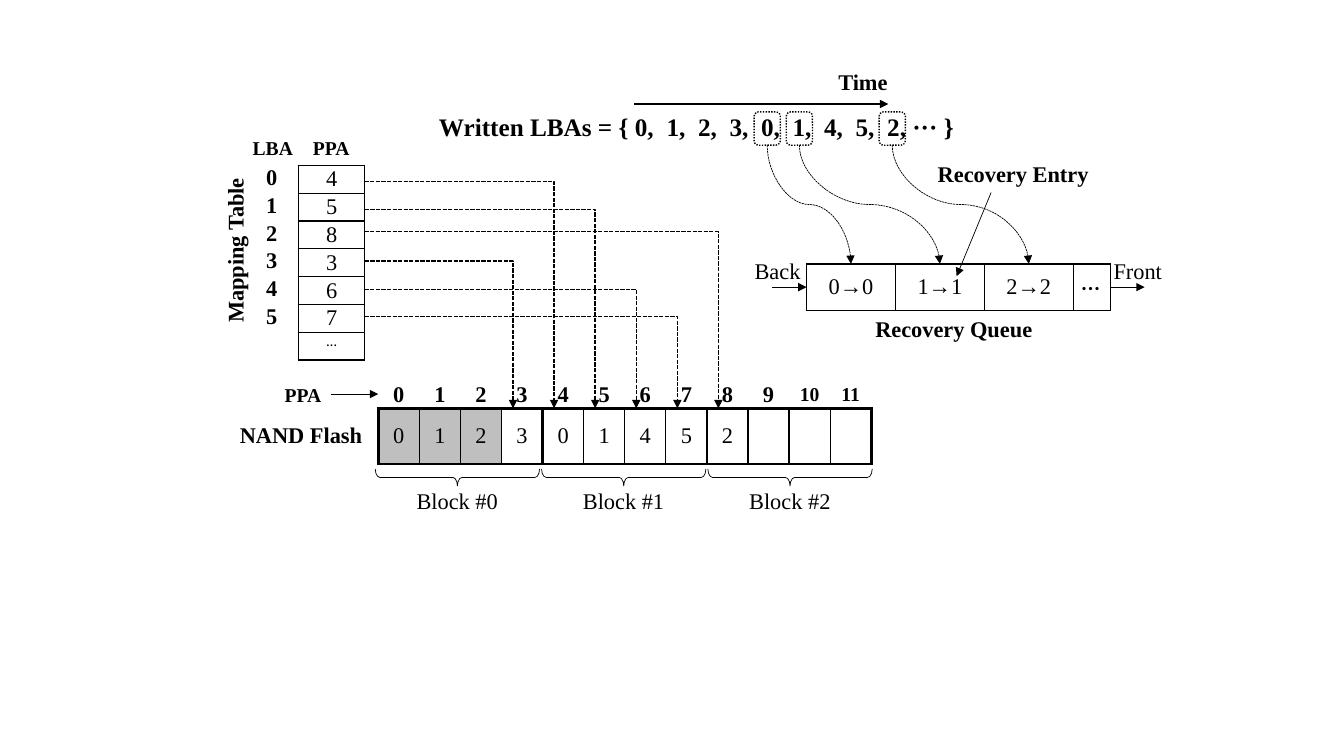
from lxml.etree import SubElement
from pptx import Presentation
from pptx.dml.color import RGBColor
from pptx.enum.dml import MSO_LINE as DASH
from pptx.enum.shapes import MSO_CONNECTOR as CONN, MSO_SHAPE as SHAPE
from pptx.enum.text import MSO_ANCHOR as ANCHOR, MSO_AUTO_SIZE as AUTO, PP_ALIGN as ALIGN
from pptx.oxml.ns import qn
from pptx.util import Cm, Pt

BLACK = RGBColor(0, 0, 0)
GRAY = RGBColor(0xBF, 0xBF, 0xBF)
SERIF = "Times New Roman"
NO_STYLE = "{2D5ABB26-0587-4C30-8999-92F81FD0307C}"
WRITES = (0, 1, 2, 3, 0, 1, 4, 5, 2)
PPAS = (4, 5, 8, 3, 6, 7)
DOTS = "\u0387\u0387\u0387"

FLASH = (9.53, 10.29, 12.42, 1.4)
MAPPING = (6.17, 4.17, 3.02, 4.9)
TIMELINE = (10.74, 2.67, 13.61, 1.02)
QUEUE = (20.32, 6.65, 7.66, 1.17)
MARKERS = (8.26, 9.07, 11.41)
MARKER_W, MARKER_H, MARKER_DY = 0.66, 0.84, 0.15
ENTRY_W = 2.24


def add_run(p, text, size, bold=False, font=SERIF):
    r = p.add_run()
    r.text = text
    r.font.name, r.font.size, r.font.bold = font, Pt(size), bold
    r.font.color.rgb = BLACK
    return r


def text_box(s, x, y, w, h):
    tb = s.shapes.add_textbox(Cm(x), Cm(y), Cm(w), Cm(h))
    tf = tb.text_frame
    tf.word_wrap, tf.auto_size = False, AUTO.SHAPE_TO_FIT_TEXT
    tf.paragraphs[0].alignment = ALIGN.CENTER
    return tb


def label(s, text, x, y, w, size=16, bold=True):
    tb = text_box(s, x, y, w, 0.94 if size == 16 else 0.86)
    add_run(tb.text_frame.paragraphs[0], text, size, bold)
    return tb


def stroke(shape, width, dash=None):
    shape.line.color.rgb, shape.line.width = BLACK, Pt(width)
    if dash:
        shape.line.dash_style = dash


def connect(s, x1, y1, x2, y2, width=0.5, kind=CONN.STRAIGHT, dash=None):
    c = s.shapes.add_connector(kind, Cm(x1), Cm(y1), Cm(x2), Cm(y2))
    stroke(c, width, dash)
    SubElement(c.line._get_or_add_ln(), qn("a:tailEnd"), type="triangle")
    SubElement(c.element.spPr, qn("a:effectLst"))
    return c


def elbow(s, x1, y1, x2, y2):
    c = connect(s, x1, y1, x2, y2, 1, CONN.ELBOW, DASH.SQUARE_DOT)
    c.line._get_or_add_ln().find(qn("a:prstDash")).set("val", "sysDash")
    av = c.element.spPr.find(qn("a:prstGeom")).find(qn("a:avLst"))
    SubElement(av, qn("a:gd"), name="adj1", fmla="val 100000")


def s_curve(s, x1, y1, x2, y2):
    dx, dy = x2 - x1, y2 - y1
    left, top = (x1 + x2 - dy) / 2, (y1 + y2 - dx) / 2
    c = connect(s, left, top, left + dy, top + dx, 0.5, CONN.CURVE, DASH.SQUARE_DOT)
    c.line._get_or_add_ln().find(qn("a:prstDash")).set("val", "sysDash")
    xfrm = c.element.spPr.find(qn("a:xfrm"))
    xfrm.set("rot", "16200000")
    xfrm.set("flipH", "1")


def grid(s, x, y, widths, heights):
    frame = s.shapes.add_table(len(heights), len(widths), Cm(x), Cm(y),
                               Cm(sum(widths)), Cm(sum(heights)))
    table = frame.table
    table.first_row = table.horz_banding = False
    table._tbl.tblPr.find(qn("a:tableStyleId")).text = NO_STYLE
    for col, w in zip(table.columns, widths):
        col.width = Cm(w)
    for row, h in zip(table.rows, heights):
        row.height = Cm(h)
    return table


def fill_cell(cell, text="", size=16, bold=False, border=0, fill=None,
              font=SERIF, anchor=ANCHOR.MIDDLE):
    cell.margin_left = cell.margin_right = cell.margin_top = cell.margin_bottom = 0
    cell.vertical_anchor = anchor
    p = cell.text_frame.paragraphs[0]
    p.alignment = ALIGN.CENTER
    if text:
        add_run(p, text, size, bold, font)
    else:
        SubElement(p._p, qn("a:endParaRPr"), sz=str(size * 100))
    if border:
        for side in ("L", "R", "T", "B"):
            ln = SubElement(cell._tc.get_or_add_tcPr(), qn("a:ln" + side), w=str(Pt(border)))
            SubElement(SubElement(ln, qn("a:solidFill")), qn("a:srgbClr"), val=str(BLACK))
    if fill:
        cell.fill.solid()
        cell.fill.fore_color.rgb = fill
    else:
        cell.fill.background()


def draw_flash(s, x, y, w, h):
    pages = [w / 12] * 12
    table = grid(s, x, y, pages, [h])
    index = grid(s, x, y - 0.82, pages, [0.94])
    for i in range(12):
        value = str(WRITES[i]) if i < len(WRITES) else ""
        fill_cell(table.cell(0, i), value, border=1, fill=GRAY if i < 3 else None)
        fill_cell(index.cell(0, i), str(i), 16 if i < 10 else 14, True)
    blocks = grid(s, x, y, [w / 3] * 3, [h])
    for i in range(3):
        fill_cell(blocks.cell(0, i), border=2.25)
        mid = x + 1.99 + 4.19 * i
        brace = s.shapes.add_shape(SHAPE.LEFT_BRACE, Cm(mid - 0.21), Cm(y + 1.74 - w / 6),
                                   Cm(0.43), Cm(w / 3))
        brace.rotation = 270
        brace.adjustments[0] = 0.27
        brace.shadow.inherit = False
        brace.fill.background()
        stroke(brace, 0.5)
        label(s, f"Block #{i}", mid - 1.3, y + 1.85, 2.6, bold=False)
    label(s, "NAND Flash", x - 3.76, y + 0.2, 3.63)
    label(s, "PPA", x - 2.62, y - 0.76, 1.45, 14)
    connect(s, x - 1.2, y - 0.36, x, y - 0.36)


def draw_mapping(s, x, y, w, h):
    table = grid(s, x, y, [1.35, w - 1.35], [h / 7] * 7)
    for lba, ppa in enumerate(PPAS):
        fill_cell(table.cell(lba, 0), str(lba), bold=True, anchor=ANCHOR.TOP)
        fill_cell(table.cell(lba, 1), str(ppa), border=1)
    fill_cell(table.cell(6, 0), size=10)
    fill_cell(table.cell(6, 1), "…", 10.5, border=1, font="Calibri", anchor=ANCHOR.TOP)
    label(s, "LBA", x - 0.07, y - 0.87, 1.55, 14)
    label(s, "PPA", x + 1.45, y - 0.87, 1.45, 14)
    label(s, "Mapping Table", x - 2.36, y + 1.67, 4.22).rotation = 270


def draw_timeline(s, x, y, w, h):
    p = text_box(s, x, y, w, h).text_frame.paragraphs[0]
    add_run(p, "Written LBAs = { ", 18, True)
    for i, lba in enumerate(WRITES):
        add_run(p, f"{lba},", 18, True)
        gap = add_run(p, " ", 18, True)
        if i < len(WRITES) - 1:
            gap._r.get_or_add_rPr().set("spc", "450")
    add_run(p, DOTS + " }", 18, True)
    connect(s, x + 5.24, y - 0.05, x + 11.64, y - 0.05, 1.5)
    label(s, "Time", x + 10.11, y - 1.07, 1.78)
    for dx in MARKERS:
        marker = s.shapes.add_shape(SHAPE.ROUNDED_RECTANGLE, Cm(x + dx), Cm(y + MARKER_DY),
                                    Cm(MARKER_W), Cm(MARKER_H))
        marker.shadow.inherit = False
        marker.fill.background()
        stroke(marker, 1, DASH.ROUND_DOT)


def draw_queue(s, x, y, w, h):
    table = grid(s, x, y, [ENTRY_W] * 3 + [w - 3 * ENTRY_W], [h])
    for i, text in enumerate(("0→0", "1→1", "2→2", "")):
        fill_cell(table.cell(0, i), text, border=1)
    label(s, DOTS, x + 6.65, y + 0.18, 1.02, 14)
    label(s, "Back", x - 1.57, y - 0.3, 1.68, bold=False)
    label(s, "Front", x + 7.47, y - 0.3, 1.75, bold=False)
    label(s, "Recovery Queue", x + 1.45, y + h, 4.52)
    label(s, "Recovery Entry", x + 3.02, y - 2.74, 4.37)
    connect(s, x - 0.86, y + h / 2, x, y + h / 2)
    connect(s, x + w, y + h / 2, x + w + 0.86, y + h / 2)
    connect(s, x + 4.65, y - 1.8, x + 3.78, y + 0.31)


def draw_links(s, mapping, flash, timeline, queue):
    for ppa, dy in zip(PPAS, (0.4, 1.11, 1.67, 2.41, 3.12, 3.81)):
        elbow(s, mapping[0] + mapping[2], mapping[1] + dy,
              flash[0] + 0.29 + ppa * flash[2] / 12, flash[1])
    for i, dx in enumerate(MARKERS):
        s_curve(s, timeline[0] + dx + MARKER_W / 2, timeline[1] + MARKER_DY + MARKER_H,
                queue[0] + ENTRY_W * (i + 0.5), queue[1])


prs = Presentation()
prs.slide_width, prs.slide_height = Cm(33.86), Cm(19.05)
s = prs.slides.add_slide(prs.slide_layouts[6])
draw_mapping(s, *MAPPING)
draw_flash(s, *FLASH)
draw_timeline(s, *TIMELINE)
draw_queue(s, *QUEUE)
draw_links(s, MAPPING, FLASH, TIMELINE, QUEUE)
prs.save("out.pptx")
